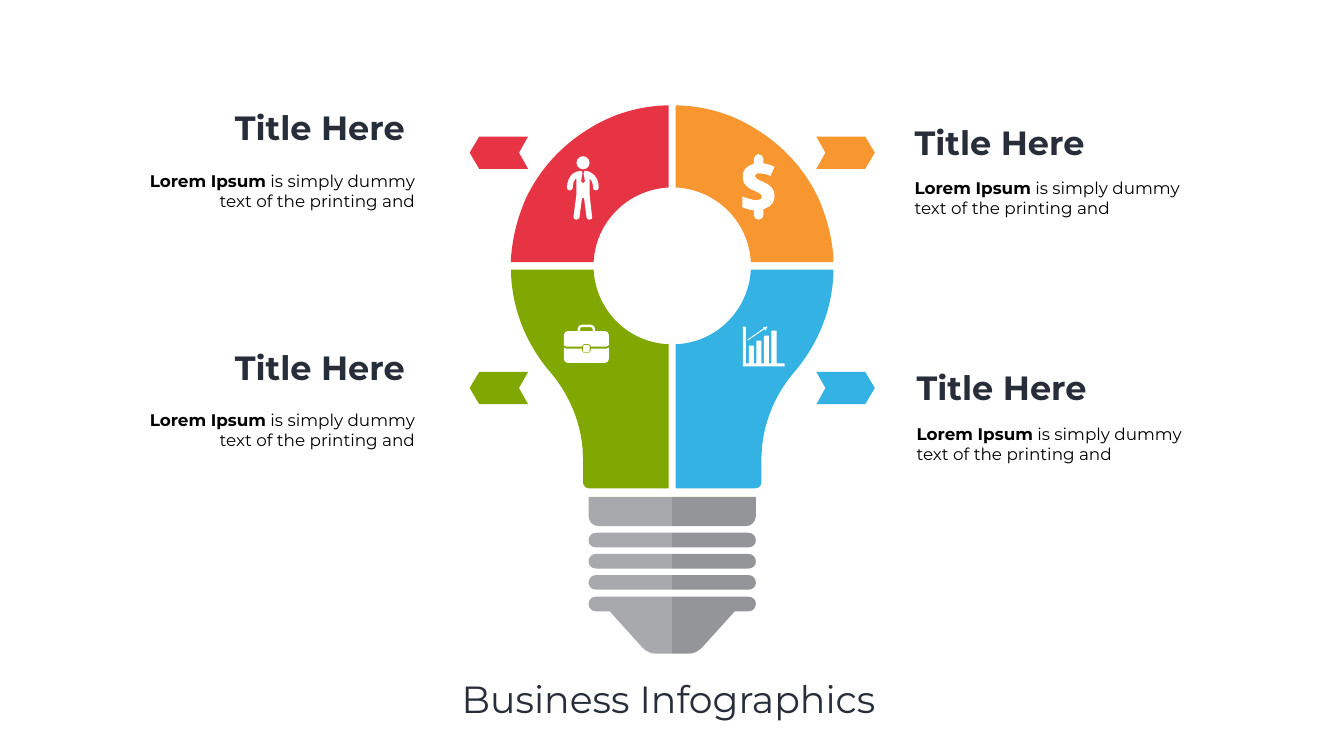
from pptx import Presentation
from pptx.dml.color import RGBColor
from pptx.enum import shapes, text
from pptx.oxml import ns, xmlchemy
from pptx.util import Inches, Pt

COLORS = {
    "red": "E63444", "orange": "F89730", "green": "80A800", "blue": "34B2E3",
    "light_grey": "A7A9AC", "dark_grey": "939598", "white": "FFFFFF",
    "navy": "272E3A", "black": "000000",
}
FONT = "Montserrat"
AXIS = 13.34  # vertical line of symmetry of the bulb

# Outlines in inches: M move, L line, C cubic curve, Z close
UPPER_QUARTER = """M 13.27 3.72 L 13.27 2.09 C 13.26 2.09 13.26 2.09 13.25 2.09
    C 12.7 2.1 12.15 2.26 11.68 2.56 C 11.14 2.89 10.71 3.36 10.44 3.93
    C 10.27 4.31 10.17 4.71 10.14 5.12 C 10.14 5.15 10.14 5.17 10.14 5.2
    L 11.78 5.2 C 11.82 4.4 12.46 3.76 13.27 3.72 Z"""
LOWER_QUARTER = """M 11.78 5.35 L 10.14 5.35 C 10.14 5.53 10.16 5.7 10.19 5.87
    C 10.29 6.42 10.54 6.93 10.89 7.35 L 10.9 7.36
    C 11.28 7.8 11.51 8.33 11.56 8.89 C 11.56 8.96 11.57 9.04 11.57 9.11
    L 11.57 9.57 C 11.57 9.63 11.62 9.69 11.69 9.69 L 13.27 9.69
    L 13.27 6.83 C 12.46 6.8 11.82 6.15 11.78 5.35 Z"""
RIBBON = """M 9.32 3.03 L 9.51 3.35 L 10.48 3.35 L 10.3 3.03
    L 10.48 2.71 L 9.51 2.71 Z"""
COLLAR = """M 11.68 9.86 L 11.68 10.24 C 11.68 10.35 11.77 10.44 11.88 10.44
    L 13.34 10.44 L 13.34 9.86 Z"""
THREAD = """M 11.68 10.72 C 11.68 10.8 11.74 10.86 11.83 10.86 L 13.34 10.86
    L 13.34 10.57 L 11.83 10.57 C 11.74 10.57 11.68 10.64 11.68 10.72 Z"""
TIP = """M 11.68 11.98 C 11.68 12.06 11.74 12.13 11.83 12.13 L 12.1 12.13
    L 12.75 12.85 C 12.83 12.93 12.92 12.97 13.02 12.97 L 13.34 12.97
    L 13.34 11.84 L 11.83 11.84 C 11.74 11.84 11.68 11.9 11.68 11.98 Z"""
CHART_AXES = "M 15.57 7.27 L 14.74 7.27 L 14.74 6.48 L 14.8 6.48 L 14.8 7.21 L 15.57 7.21 Z"
TREND_HEAD = "M 15.23 6.48 L 15.19 6.56 L 15.14 6.49 Z"
TREND_LINE = "M 14.83 6.74 L 15.19 6.49 L 15.2 6.51 L 14.85 6.75 Z"
CASE_BOTTOM = """M 11.72 6.92 L 11.72 6.97 C 11.72 6.99 11.71 7 11.69 7 L 11.58 7
    C 11.56 7 11.55 6.99 11.55 6.97 L 11.55 6.92 L 11.24 6.92
    C 11.22 6.92 11.21 6.91 11.19 6.9 L 11.19 7.13
    C 11.19 7.16 11.22 7.2 11.26 7.2 L 12.01 7.2
    C 12.05 7.2 12.08 7.16 12.08 7.13 L 12.08 6.9
    C 12.06 6.91 12.05 6.92 12.03 6.92 Z"""
CASE_LID = """M 12.01 6.57 L 11.81 6.57 L 11.81 6.53 C 11.81 6.48 11.77 6.44 11.72 6.44
    L 11.55 6.44 C 11.5 6.44 11.46 6.48 11.46 6.53 L 11.46 6.57 L 11.26 6.57
    C 11.22 6.57 11.19 6.61 11.19 6.64 L 11.19 6.85
    C 11.2 6.87 11.22 6.88 11.24 6.88 L 11.55 6.88 L 11.55 6.86
    C 11.55 6.85 11.56 6.83 11.58 6.83 L 11.69 6.83
    C 11.71 6.83 11.72 6.85 11.72 6.86 L 11.72 6.88 L 12.03 6.88
    C 12.05 6.88 12.07 6.87 12.08 6.85 L 12.08 6.64
    C 12.08 6.61 12.05 6.57 12.01 6.57 Z """
HANDLE_HOLE = """M 11.51 6.57 L 11.51 6.53 C 11.51 6.51 11.53 6.49 11.55 6.49
    L 11.72 6.49 C 11.74 6.49 11.76 6.51 11.76 6.53 L 11.76 6.57 Z"""
DOLLAR_TOP = """M 15.16 3.62 C 15.16 3.62 15.15 3.62 15.15 3.61
    C 15.07 3.58 15.03 3.56 15.01 3.54 C 14.99 3.53 14.98 3.51 14.98 3.49
    C 14.98 3.48 14.99 3.46 15.01 3.45 C 15.02 3.44 15.04 3.44 15.08 3.44
    C 15.1 3.44 15.12 3.44 15.15 3.45 C 15.19 3.45 15.24 3.47 15.29 3.49
    L 15.37 3.31 C 15.29 3.27 15.22 3.25 15.15 3.24 L 15.15 3.16
    C 15.15 3.1 15.11 3.06 15.05 3.06 C 15 3.06 14.96 3.1 14.96 3.16
    L 14.96 3.25 C 14.91 3.27 14.87 3.28 14.83 3.31
    C 14.77 3.36 14.74 3.42 14.74 3.5 C 14.74 3.55 14.75 3.59 14.76 3.62 """
DOLLAR_BOTTOM = """C 14.78 3.65 14.8 3.68 14.83 3.71 C 14.86 3.73 14.9 3.76 14.96 3.78
    C 15.03 3.81 15.07 3.83 15.08 3.84 C 15.1 3.85 15.11 3.86 15.11 3.87
    C 15.12 3.88 15.12 3.89 15.12 3.9 C 15.12 3.92 15.12 3.94 15.1 3.95
    C 15.06 3.98 15 3.97 14.96 3.97 C 14.88 3.95 14.78 3.92 14.73 3.9
    L 14.73 4.11 C 14.78 4.13 14.86 4.17 14.96 4.17 L 14.96 4.27
    C 14.96 4.32 15 4.36 15.05 4.36 C 15.11 4.36 15.15 4.32 15.15 4.27
    L 15.15 4.15 C 15.17 4.15 15.19 4.14 15.2 4.13
    C 15.26 4.11 15.3 4.08 15.33 4.03 C 15.36 3.99 15.37 3.94 15.37 3.88
    C 15.37 3.82 15.35 3.77 15.32 3.73 C 15.29 3.69 15.24 3.65 15.16 3.62 Z"""
PERSON_LEFT = """M 11.57 3.64 L 11.53 3.6 L 11.56 3.43 L 11.55 3.42
    L 11.54 3.39 C 11.46 3.39 11.39 3.42 11.34 3.47
    C 11.25 3.57 11.25 3.72 11.25 3.73 C 11.25 3.76 11.28 3.78 11.31 3.78
    C 11.34 3.78 11.37 3.75 11.37 3.72 C 11.37 3.72 11.36 3.61 11.42 3.55
    C 11.43 3.55 11.43 3.54 11.44 3.54 L 11.44 3.86 L 11.38 4.3
    C 11.38 4.33 11.4 4.36 11.43 4.36 C 11.47 4.36 11.49 4.34 11.5 4.31
    L 11.55 3.93 """
PERSON_RIGHT = """L 11.59 3.93 L 11.64 4.31 C 11.64 4.34 11.67 4.36 11.7 4.36
    C 11.74 4.36 11.76 4.33 11.75 4.3 L 11.7 3.86 L 11.7 3.54
    C 11.7 3.54 11.71 3.55 11.71 3.55 C 11.77 3.61 11.77 3.72 11.77 3.72
    C 11.76 3.75 11.79 3.78 11.82 3.78 C 11.85 3.78 11.88 3.76 11.88 3.73
    C 11.88 3.72 11.89 3.57 11.79 3.47 C 11.74 3.42 11.68 3.39 11.6 3.39
    L 11.59 3.42 L 11.58 3.43 L 11.61 3.6 Z"""


def paint(shape, color):
    shape.shadow.inherit = False
    shape.fill.solid()
    shape.fill.fore_color.rgb = RGBColor.from_string(COLORS[color])
    shape.line.fill.background()


def add_outline(group, outline, color, mirrored=False, down=0):
    """Draw a filled outline, optionally mirrored on AXIS or moved down."""
    def point(x, y):
        x, y = float(x), float(y) + down
        return Inches(2 * AXIS - x if mirrored else x), Inches(y)

    contours, segments = [], []
    tokens = iter(outline.split())
    for command in tokens:
        if command == "Z":
            continue
        count = 3 if command == "C" else 1
        points = [point(next(tokens), next(tokens)) for _ in range(count)]
        if command == "M":
            contours.append([])
        else:
            segments.append(points)
        contours[-1].append(points[-1])

    builder = group.shapes.build_freeform(*contours[0][0], scale=1.0)
    for index, contour in enumerate(contours):
        if index:
            builder.move_to(*contour[0])
        builder.add_line_segments(contour[1:], close=True)
    shape = builder.convert_to_shape()
    left, top = min(p[0] for c in contours for p in c), min(p[1] for c in contours for p in c)

    # Turn the straight segments that stand for curves into cubic ones
    lines = list(shape._element.iter(ns.qn("a:lnTo")))
    for line, points in zip(lines, segments):
        if len(points) == 3:
            curve = xmlchemy.OxmlElement("a:cubicBezTo")
            for x, y in points:
                node = xmlchemy.OxmlElement("a:pt")
                node.set("x", str(x - left))
                node.set("y", str(y - top))
                curve.append(node)
            line.getparent().replace(line, curve)
    paint(shape, color)


def add_preset(group, kind, left, top, width, height):
    shape = group.shapes.add_shape(kind, Inches(left), Inches(top), Inches(width), Inches(height))
    paint(shape, "white")


def add_text(page, left, top, width, height, align, spans):
    box = page.shapes.add_textbox(Inches(left), Inches(top), Inches(width), Inches(height))
    box.text_frame.word_wrap = True
    box.text_frame.auto_size = text.MSO_AUTO_SIZE.SHAPE_TO_FIT_TEXT
    para = box.text_frame.paragraphs[0]
    para.alignment = align
    for words, size, color, bold in spans:
        span = para.add_run()
        span.text = words
        span.font.name = FONT
        span.font.size = Pt(size)
        span.font.bold = bold
        span.font.color.rgb = RGBColor.from_string(COLORS[color])


def add_bulb(group):
    # Screw base, then the glass quarters and their ribbons
    for mirrored, grey, upper, lower in ((False, "light_grey", "red", "green"),
                                         (True, "dark_grey", "orange", "blue")):
        add_outline(group, COLLAR, grey, mirrored)
        for row in range(3):
            add_outline(group, THREAD, grey, mirrored, row * 0.42)
        add_outline(group, TIP, grey, mirrored)
        add_outline(group, UPPER_QUARTER, upper, mirrored)
        add_outline(group, LOWER_QUARTER, lower, mirrored)
        add_outline(group, RIBBON, upper, mirrored)
        add_outline(group, RIBBON, lower, mirrored, 4.67)


def add_icons(group):
    for outline in (CHART_AXES, TREND_HEAD, TREND_LINE, CASE_BOTTOM, CASE_LID + HANDLE_HOLE,
                    DOLLAR_TOP + DOLLAR_BOTTOM, PERSON_LEFT + PERSON_RIGHT):
        add_outline(group, outline, "white")
    # Bars of the chart icon, clasp of the case, head of the person
    for bar in range(4):
        top = 6.86 - bar * 0.1
        add_preset(group, shapes.MSO_SHAPE.RECTANGLE, 14.86 + bar * 0.15, top, 0.1, 7.22 - top)
    add_preset(group, shapes.MSO_SHAPE.ROUNDED_RECTANGLE, 11.57, 6.85, 0.13, 0.14)
    add_preset(group, shapes.MSO_SHAPE.OVAL, 11.44, 3.1, 0.26, 0.26)


def main():
    deck = Presentation()
    deck.slide_width, deck.slide_height = Inches(26.67), Inches(15)
    page = deck.slides.add_slide(deck.slide_layouts[6])

    group = page.shapes.add_group_shape()
    add_bulb(group)
    add_icons(group)

    # Heading below the bulb
    left, center, right = text.PP_ALIGN.LEFT, text.PP_ALIGN.CENTER, text.PP_ALIGN.RIGHT
    add_text(page, 7.88, 13.36, 10.97, 1.01, center, [("Business Infographics ", 54, "navy", False)])

    # Four captions: title and body
    body = [("Lorem Ipsum", 24, "black", True),
            (" is simply dummy text of the printing and", 24, "black", False)]
    for title, align, title_left, title_top, body_left, body_top in (
            ("Title Here", left, 18.09, 7.24, 18.09, 8.36),
            ("Title Here", left, 18.05, 2.36, 18.05, 3.47),
            ("Title Here ", right, -0.06, 2.08, 2.65, 3.34),
            ("Title Here ", right, -0.06, 6.83, 2.65, 8.08)):
        add_text(page, title_left, title_top, 8.38, 0.91, align, [(title, 48, "navy", True)])
        add_text(page, body_left, body_top, 5.68, 0.91, align, body)

    deck.save("out.pptx")


if __name__ == "__main__":
    main()
